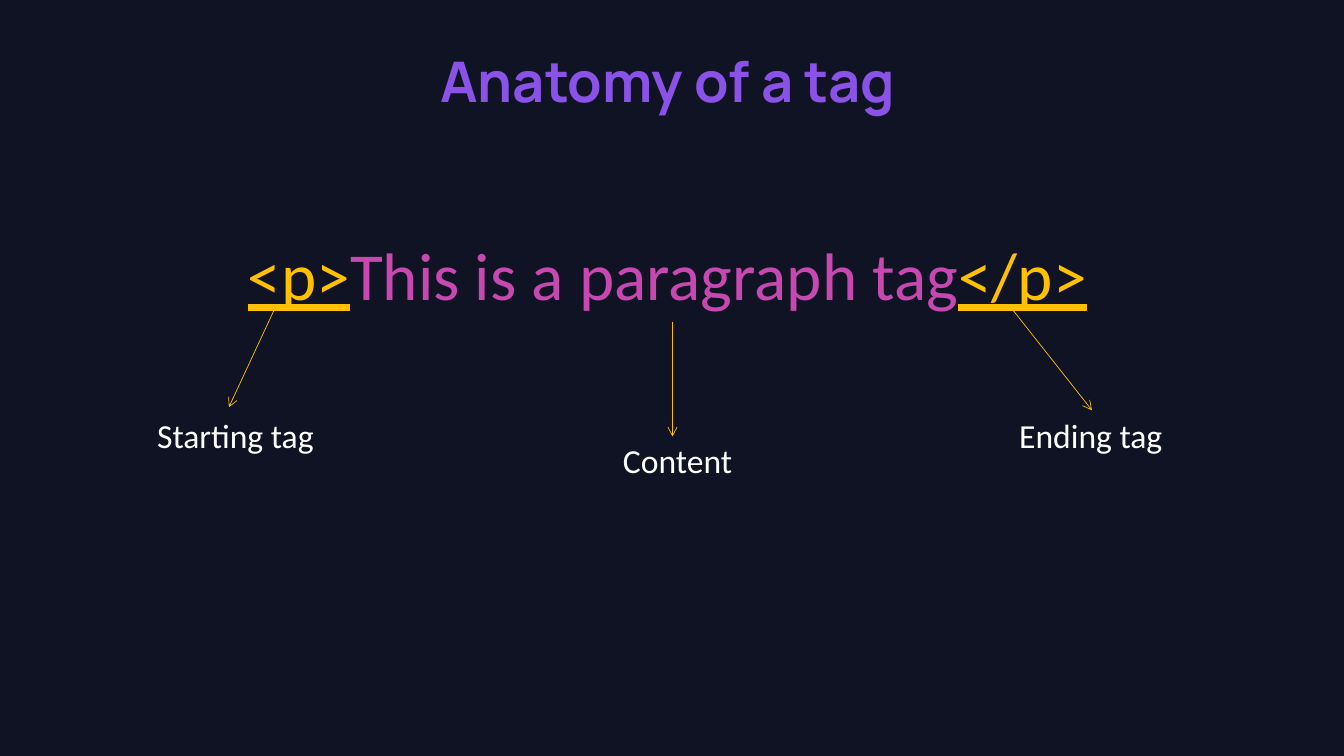
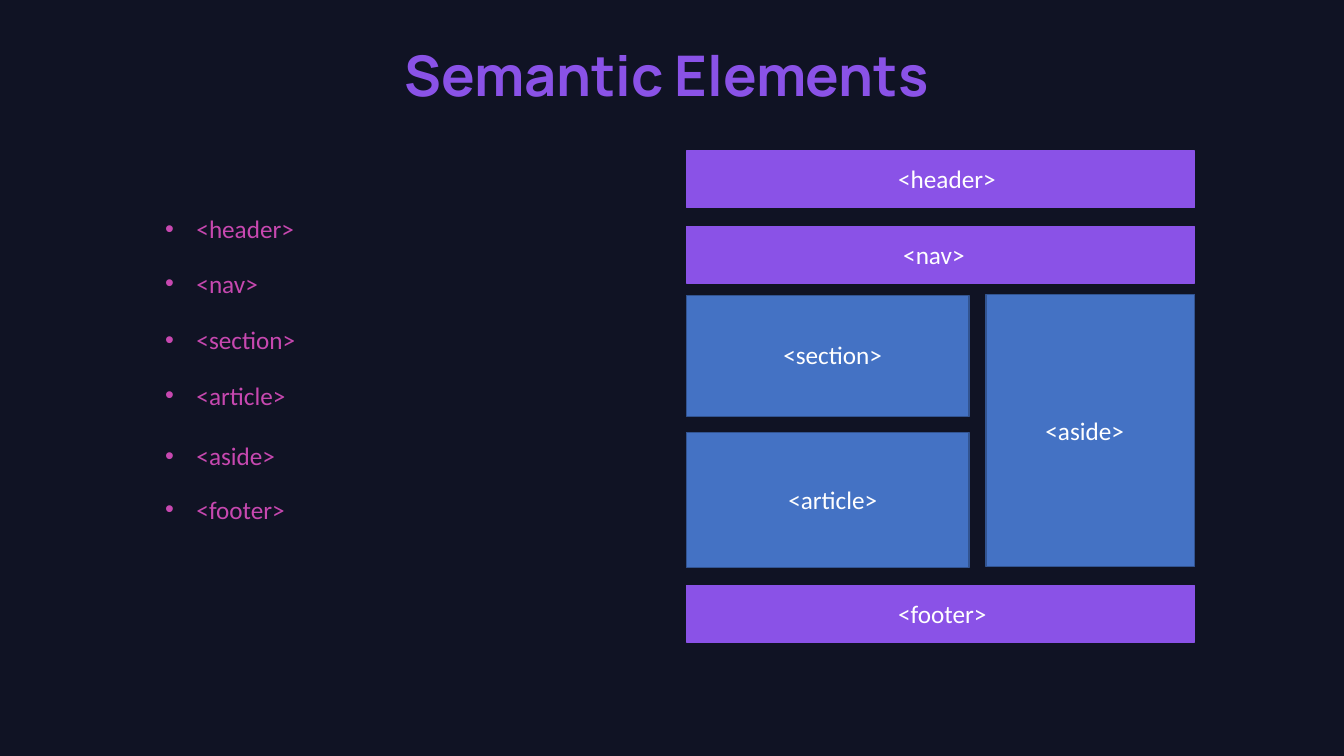
from dataclasses import dataclass

from lxml import etree
from pptx import Presentation
from pptx.dml.color import RGBColor
from pptx.enum.shapes import MSO_CONNECTOR, MSO_SHAPE
from pptx.enum.text import MSO_ANCHOR, MSO_AUTO_SIZE, PP_ALIGN
from pptx.oxml.ns import qn
from pptx.slide import Slide
from pptx.text.text import TextFrame
from pptx.util import Inches, Pt

NAVY = RGBColor(0x10, 0x13, 0x24)
PURPLE = RGBColor(0x8A, 0x52, 0xE7)
PINK = RGBColor(0xC7, 0x48, 0xB0)
GOLD = RGBColor(0xFF, 0xC0, 0x00)
WHITE = RGBColor(0xFF, 0xFF, 0xFF)
BLUE = RGBColor(0x44, 0x72, 0xC4)
DARK_BLUE = RGBColor(0x32, 0x54, 0x91)
TITLE_FONT = "Manrope"
BODY_FONT = "Calibri"
TITLE_ONLY_LAYOUT = 5


@dataclass(frozen=True)
class Box:
    """Position and size in inches."""
    left: float
    top: float
    width: float
    height: float

    def lengths(self) -> tuple[Inches, ...]:
        """Return the four lengths in the order that python-pptx takes."""
        return tuple(Inches(n) for n in (self.left, self.top, self.width, self.height))


@dataclass(frozen=True)
class TagPart:
    """One part of the tag: its caption and the arrow that points to it."""
    caption: str
    caption_box: Box
    start: tuple[float, float]
    end: tuple[float, float]


@dataclass(frozen=True)
class Region:
    """A region of the page layout with its label."""
    label: str
    box: Box
    label_box: Box
    fill: RGBColor = PURPLE
    outline: RGBColor = PURPLE


def add_run(frame: TextFrame, text: str, *, size: float, color: RGBColor,
            font: str = BODY_FONT, bold: bool = False, underline: bool = False) -> None:
    """Append formatted text to the first paragraph of a frame."""
    run = frame.paragraphs[0].add_run()
    run.text = text
    run.font.name = font
    run.font.size = Pt(size)
    run.font.color.rgb = color
    run.font.bold = bold
    run.font.underline = underline


def add_text_frame(slide: Slide, box: Box, wrap: bool = False) -> TextFrame:
    """Add a text box that grows with its text."""
    frame = slide.shapes.add_textbox(*box.lengths()).text_frame
    frame.word_wrap = wrap
    frame.auto_size = MSO_AUTO_SIZE.SHAPE_TO_FIT_TEXT
    return frame


def add_titled_slide(presentation: Presentation, title: str, box: Box) -> Slide:
    """Add a slide with the shared title style."""
    slide = presentation.slides.add_slide(presentation.slide_layouts[TITLE_ONLY_LAYOUT])
    shape = slide.shapes.title
    shape.left, shape.top, shape.width, shape.height = box.lengths()
    frame = shape.text_frame
    frame.word_wrap = True
    frame.auto_size = MSO_AUTO_SIZE.SHAPE_TO_FIT_TEXT
    frame.vertical_anchor = MSO_ANCHOR.TOP
    frame.paragraphs[0].alignment = PP_ALIGN.CENTER
    add_run(frame, title, size=40, color=PURPLE, font=TITLE_FONT, bold=True)
    return slide


def add_arrow(slide: Slide, start: tuple[float, float], end: tuple[float, float]) -> None:
    """Draw a thin gold arrow."""
    points = [Inches(n) for n in (*start, *end)]
    connector = slide.shapes.add_connector(MSO_CONNECTOR.STRAIGHT, *points)
    connector.line.color.rgb = GOLD
    connector.line.width = Pt(0.5)
    etree.SubElement(connector.line._get_or_add_ln(), qn("a:tailEnd"), type="arrow")
    etree.SubElement(connector._element.spPr, qn("a:effectLst"))


def add_bullet(slide: Slide, text: str, box: Box) -> None:
    """Add a bulleted item with a hanging indent."""
    frame = add_text_frame(slide, box, wrap=True)
    add_run(frame, text, size=18, color=PINK)
    properties = frame.paragraphs[0]._p.get_or_add_pPr()
    indent = Inches(0.31)
    properties.set("marL", str(indent))
    properties.set("indent", str(-indent))
    etree.SubElement(properties, qn("a:buFont"), typeface="Arial")
    etree.SubElement(properties, qn("a:buChar"), char="•")


def add_region(slide: Slide, region: Region) -> None:
    """Draw a layout region and its label."""
    shape = slide.shapes.add_shape(MSO_SHAPE.RECTANGLE, *region.box.lengths())
    shape.shadow.inherit = False
    shape.fill.solid()
    shape.fill.fore_color.rgb = region.fill
    shape.line.color.rgb = region.outline
    shape.line.width = Pt(1)
    add_run(add_text_frame(slide, region.label_box), region.label, size=18, color=WHITE)


def build_tag_slide(presentation: Presentation) -> None:
    """Build the slide that explains the parts of a tag."""
    slide = add_titled_slide(presentation, "Anatomy of a tag", Box(2.75, 0.41, 7.75, 0.77))
    frame = add_text_frame(slide, Box(2.36, 2.27, 8.61, 0.91))
    add_run(frame, "<p>", size=48, color=GOLD, underline=True)
    add_run(frame, "This is a paragraph tag", size=48, color=PINK)
    add_run(frame, "</p>", size=48, color=GOLD, underline=True)
    parts = [
        TagPart("Starting tag", Box(1.46, 4.07, 1.77, 0.5), (2.74, 3.03), (2.27, 4.04)),
        TagPart("Content", Box(6.08, 4.32, 1.29, 0.5), (6.67, 3.19), (6.67, 4.33)),
        TagPart("Ending tag", Box(10.01, 4.07, 1.64, 0.5), (10.01, 3.03), (10.83, 4.07)),
    ]
    for part in parts:
        add_arrow(slide, part.start, part.end)
        add_run(add_text_frame(slide, part.caption_box), part.caption, size=24, color=WHITE)


def build_semantic_slide(presentation: Presentation) -> None:
    """Build the slide that lists semantic elements and shows a page layout."""
    slide = add_titled_slide(presentation, "Semantic Elements ", Box(3, 0.35, 7.33, 0.77))
    bullet_tops = {"<header>": 2.07, "<nav>": 2.61, "<section>": 3.17,
                   "<article>": 3.72, "<aside>": 4.32, "<footer>": 4.85}
    for text, top in bullet_tops.items():
        add_bullet(slide, text, Box(1.54, top, 2.11, 0.4))

    left, full_width, bar_height, main_width = 6.81, 5.04, 0.56, 2.8
    regions = [
        Region("<header>", Box(left, 1.5, full_width, bar_height), Box(8.81, 1.57, 1.18, 0.4)),
        Region("<nav>", Box(left, 2.25, full_width, bar_height), Box(8.86, 2.33, 0.82, 0.4)),
        Region("<section>", Box(left, 2.93, main_width, 1.2), Box(7.67, 3.32, 1.19, 0.4),
               BLUE, DARK_BLUE),
        Region("<article>", Box(left, 4.29, main_width, 1.34), Box(7.72, 4.76, 1.1, 0.4),
               BLUE, DARK_BLUE),
        Region("<aside>", Box(9.78, 2.92, 2.07, 2.7), Box(10.27, 4.07, 0.99, 0.4),
               BLUE, DARK_BLUE),
        Region("<footer>", Box(left, 5.81, full_width, bar_height), Box(8.81, 5.89, 1.09, 0.4)),
    ]
    for region in regions:
        add_region(slide, region)


def main() -> None:
    """Build and save the presentation."""
    presentation = Presentation()
    presentation.slide_width = Inches(13.33)
    presentation.slide_height = Inches(7.5)
    background = presentation.slide_master.background.fill
    background.solid()
    background.fore_color.rgb = NAVY
    build_tag_slide(presentation)
    build_semantic_slide(presentation)
    presentation.save("out.pptx")


main()
